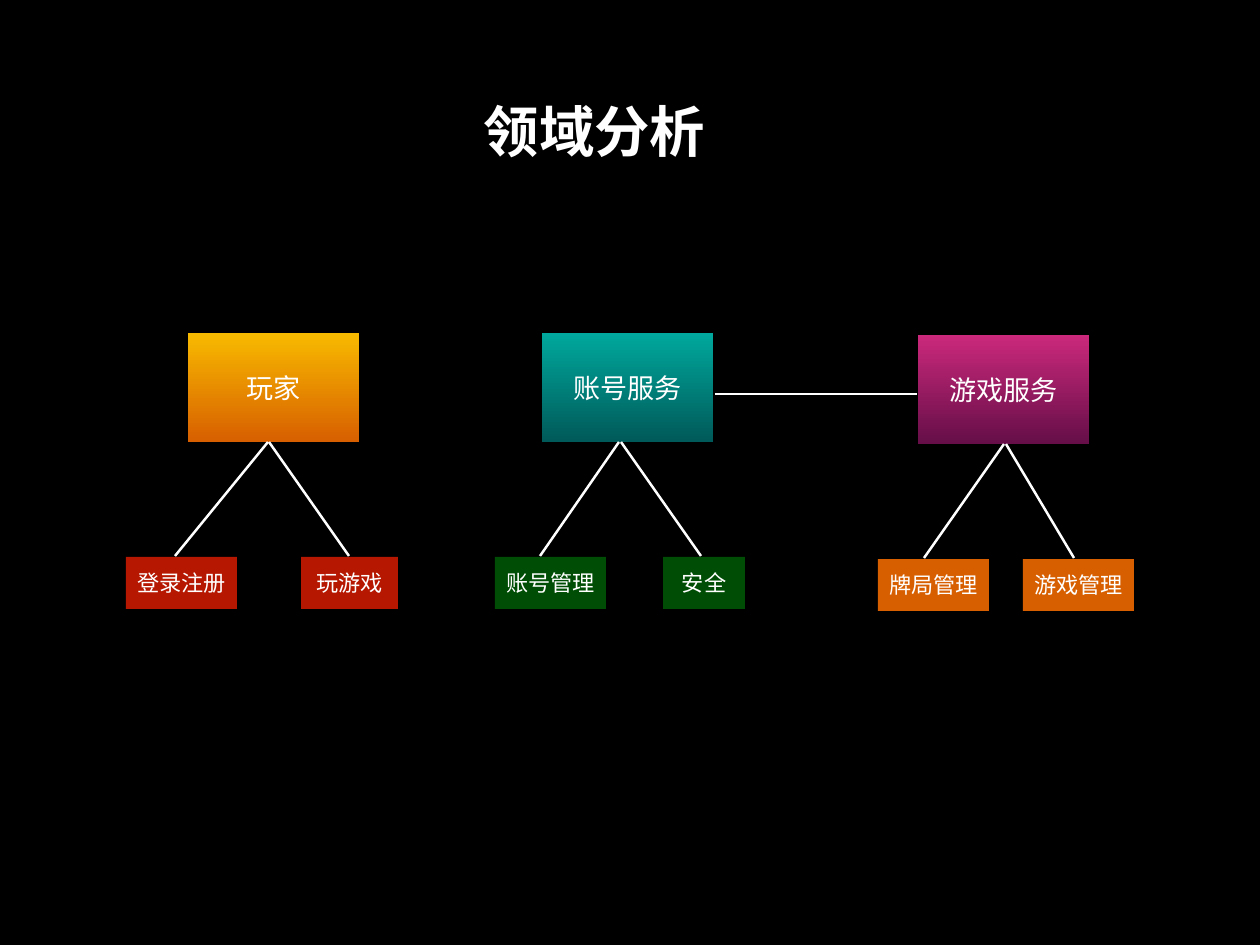
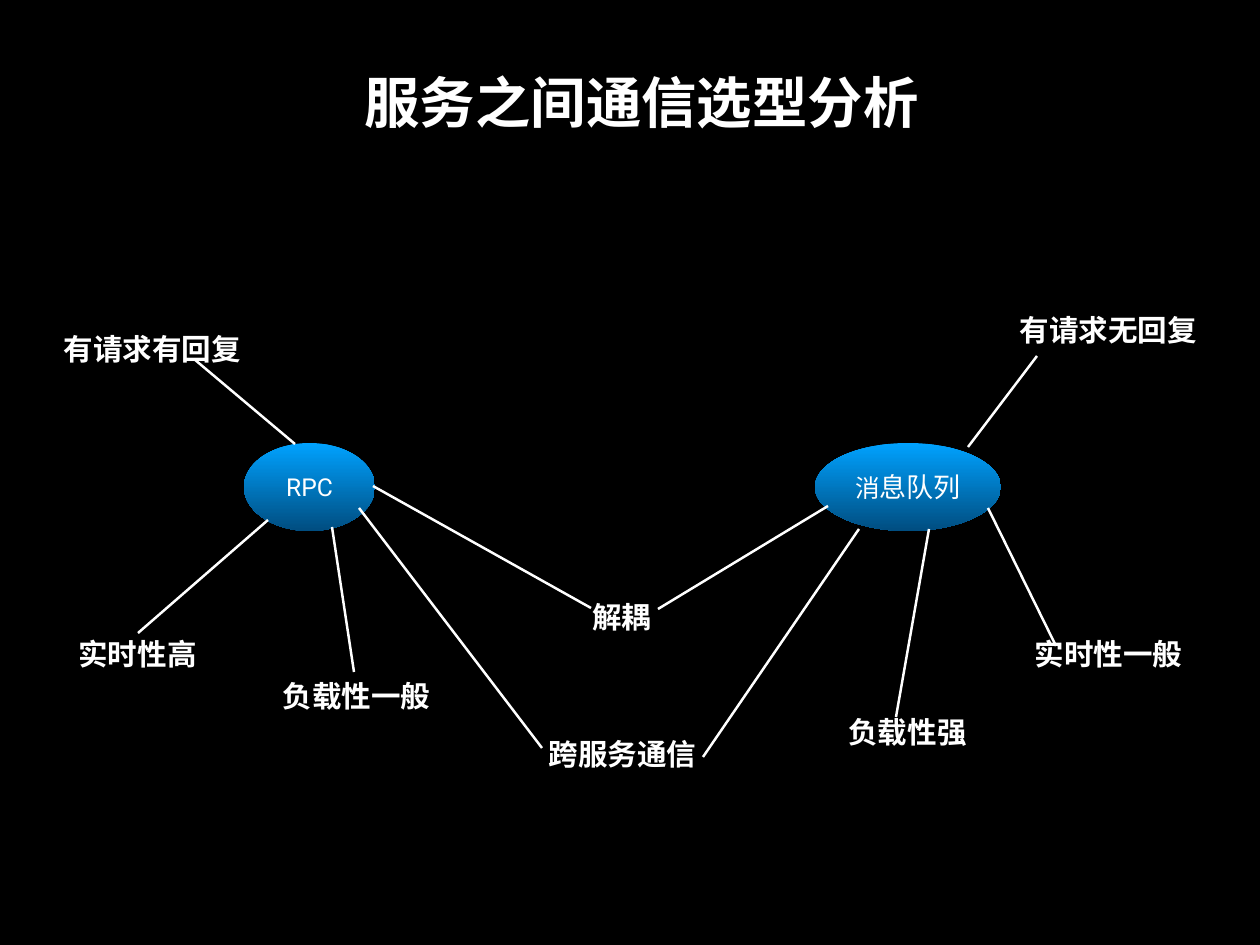
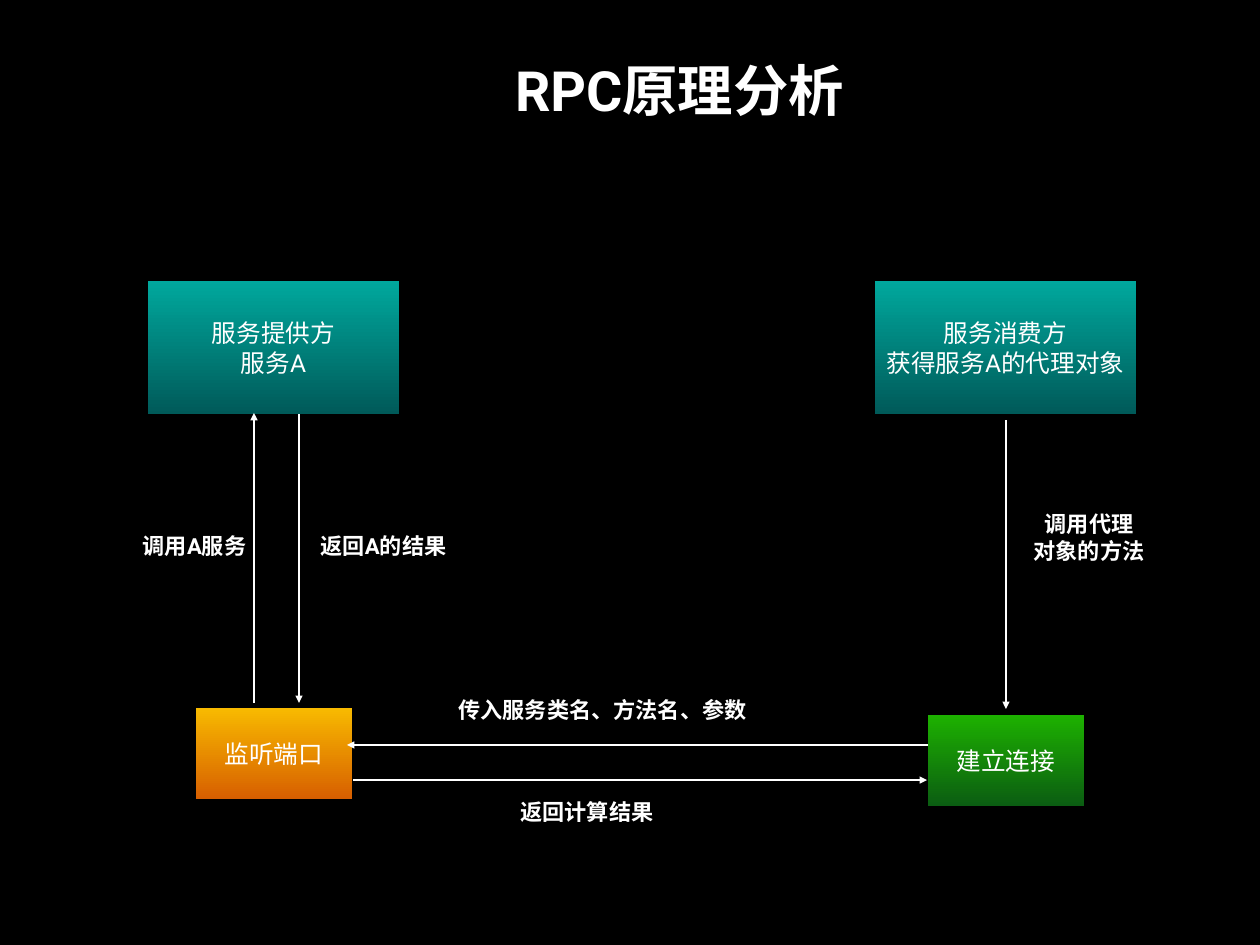
from pptx import Presentation
from pptx.dml.color import RGBColor
from pptx.enum.shapes import MSO_CONNECTOR, MSO_SHAPE
from pptx.enum.text import MSO_ANCHOR, MSO_AUTO_SIZE, PP_ALIGN
from pptx.oxml.ns import qn
from pptx.util import Pt
from lxml.etree import SubElement

PX = 10320  # EMU per pixel
SLIDE_WIDTH, SLIDE_HEIGHT = 1260, 945
INSET = 5
FONT = "Roboto"
TITLE_SIZE = 45
LABEL_HEIGHTS = {45: 88, 24: 51, 18: 41}
EXTRA_LINE = 31

BLACK = RGBColor(0x00, 0x00, 0x00)
WHITE = RGBColor(0xFF, 0xFF, 0xFF)
RED = RGBColor(0xB5, 0x17, 0x00)
DARK_GREEN = RGBColor(0x00, 0x4E, 0x05)
ORANGE = RGBColor(0xD7, 0x5F, 0x00)
AMBER_FADE = (RGBColor(0xF8, 0xBA, 0x00), ORANGE)
TEAL_FADE = (RGBColor(0x00, 0xA8, 0x9D), RGBColor(0x00, 0x5A, 0x59))
PINK_FADE = (RGBColor(0xCB, 0x29, 0x7B), RGBColor(0x65, 0x0E, 0x47))
BLUE_FADE = (RGBColor(0x00, 0xA2, 0xFF), RGBColor(0x00, 0x4D, 0x80))
GREEN_FADE = (RGBColor(0x1D, 0xB1, 0x00), RGBColor(0x0B, 0x5D, 0x12))

# Domain tree: text, left, top, fade, child colour,
# children as (text, left, width, line foot x, line apex x)
DOMAIN_TITLE = ("领域分析", 478, 86, 233)
DOMAINS = [
    ("玩家", 188, 333, AMBER_FADE, RED,
     [("登录注册", 126, 111, 175, 268), ("玩游戏", 301, 97, 349, 269)]),
    ("账号服务", 542, 333, TEAL_FADE, DARK_GREEN,
     [("账号管理", 495, 111, 540, 619), ("安全", 663, 82, 701, 621)]),
    ("游戏服务", 918, 335, PINK_FADE, ORANGE,
     [("牌局管理", 878, 111, 924, 1004), ("游戏管理", 1023, 111, 1074, 1006)]),
]
DOMAIN_WIDTH, DOMAIN_HEIGHT = 171, 109
CHILD_DROP, CHILD_HEIGHT = 224, 52
SERVICE_LINK = (715, 394, 917, 394)

# Labels: text, left, top, width. Lines: x1, y1, x2, y2
CHOICE_TITLE = ("服务之间通信选型分析", 359, 57, 565)
CHOICES = [
    ([("消", 20), ("息队列", 22)], (815, 443, 186, 88)),
    ([("RPC", 20)], (244, 443, 131, 88)),
]
CHOICE_LABELS = [
    ("解耦", 587, 591, 70),
    ("跨服务通信", 543, 728, 159),
    ("实时性高", 73, 628, 129),
    ("负载性一般", 277, 670, 159),
    ("有请求有回复", 58, 323, 189),
    ("负载性强", 843, 706, 129),
    ("实时性一般", 1029, 628, 159),
    ("有请求无回复", 1014, 304, 189),
]
CHOICE_LINES = [
    (138, 633, 268, 520), (295, 444, 194, 359), (332, 527, 354, 672),
    (359, 508, 542, 748), (373, 486, 591, 608), (658, 609, 828, 506),
    (703, 757, 859, 529), (968, 447, 1037, 356), (988, 508, 1056, 646),
    (896, 717, 929, 529),
]

RPC_TITLE = ("RPC原理分析", 504, 45, 351)
RPC_NODES = [
    ("服务提供方\v服务A", (148, 281, 251, 133), TEAL_FADE),
    ("服务消费方\v获得服务A的代理对象", (875, 281, 261, 133), TEAL_FADE),
    ("监听端口", (196, 708, 156, 91), AMBER_FADE),
    ("建立连接", (928, 715, 156, 91), GREEN_FADE),
]
RPC_LABELS = [
    ("返回A的结果", 315, 525, 137),
    ("调用A服务", 137, 525, 115),
    ("调用代理\n对象的方法", 1028, 501, 122),
    ("传入服务类名、方法名、参数", 453, 689, 299),
    ("返回计算结果", 515, 791, 144),
]
RPC_ARROWS = [
    (299, 414, 299, 703), (254, 703, 254, 413), (1006, 420, 1006, 709),
    (928, 745, 347, 745), (353, 780, 927, 780),
]


def scaled(lengths):
    return [length * PX for length in lengths]


def set_format(target, values):
    for name, value in values.items():
        setattr(target, name, value)


def style_run(run, size, bold):
    set_format(run.font, {"name": FONT, "size": Pt(size), "bold": bold})
    run.font.color.rgb = WHITE
    SubElement(run.font._element, qn("a:ea"), typeface=FONT)


def style_frame(frame, size, bold=False):
    """Centre the text of a frame and give all its runs one style."""
    margins = {f"margin_{side}": INSET * PX for side in ("left", "top", "right", "bottom")}
    set_format(frame, {"vertical_anchor": MSO_ANCHOR.MIDDLE, **margins})
    for paragraph in frame.paragraphs:
        paragraph.alignment = PP_ALIGN.CENTER
        for run in paragraph.runs:
            style_run(run, size, bold)


def add_label(slide, size, text, left, top, width):
    """Add a bold text box that grows with its text."""
    height = LABEL_HEIGHTS[size] + EXTRA_LINE * text.count("\n")
    frame = slide.shapes.add_textbox(*scaled((left, top, width, height))).text_frame
    frame.text = text
    style_frame(frame, size, bold=True)
    set_format(frame, {"word_wrap": False, "auto_size": MSO_AUTO_SIZE.SHAPE_TO_FIT_TEXT})


def add_node(slide, text, box, fill, size, preset=MSO_SHAPE.RECTANGLE):
    """Add a shape filled with one colour, or with a top-to-bottom fade."""
    shape = slide.shapes.add_shape(preset, *scaled(box))
    shape.shadow.inherit = False
    shape.line.fill.background()
    if isinstance(fill, RGBColor):
        shape.fill.solid()
        shape.fill.fore_color.rgb = fill
    else:
        shape.fill.gradient()
        shape.fill.gradient_angle = 270
        for stop, color in zip(shape.fill.gradient_stops, fill):
            stop.color.rgb = color
    shape.text_frame.text = text
    style_frame(shape.text_frame, size)
    return shape


def add_line(slide, ends, arrow=False):
    connector = slide.shapes.add_connector(MSO_CONNECTOR.STRAIGHT, *scaled(ends))
    connector.line.width = Pt(2)
    connector.line.color.rgb = WHITE
    properties = connector._element.spPr
    if arrow:
        SubElement(properties.find(qn("a:ln")), qn("a:tailEnd"), type="triangle")
    SubElement(properties, qn("a:effectLst"))


def add_slide(presentation, title):
    slide = presentation.slides.add_slide(presentation.slide_layouts[6])
    add_label(slide, TITLE_SIZE, *title)
    return slide


def build_domains(presentation):
    slide = add_slide(presentation, DOMAIN_TITLE)
    for text, left, top, fade, child_color, children in DOMAINS:
        add_node(slide, text, (left, top, DOMAIN_WIDTH, DOMAIN_HEIGHT), fade, 22)
        child_top = top + CHILD_DROP
        for child, child_left, width, foot, apex in children:
            box = (child_left, child_top, width, CHILD_HEIGHT)
            add_node(slide, child, box, child_color, 18)
            add_line(slide, (foot, child_top - 1, apex, top + DOMAIN_HEIGHT))
    add_line(slide, SERVICE_LINK)


def build_choices(presentation):
    slide = add_slide(presentation, CHOICE_TITLE)
    for runs, box in CHOICES:
        shape = add_node(slide, "", box, BLUE_FADE, 20, MSO_SHAPE.OVAL)
        for text, size in runs:
            run = shape.text_frame.paragraphs[0].add_run()
            run.text = text
            style_run(run, size, bold=False)
    for label in CHOICE_LABELS:
        add_label(slide, 24, *label)
    for ends in CHOICE_LINES:
        add_line(slide, ends)


def build_rpc(presentation):
    slide = add_slide(presentation, RPC_TITLE)
    for text, box, fade in RPC_NODES:
        add_node(slide, text, box, fade, 20)
    for ends in RPC_ARROWS:
        add_line(slide, ends, arrow=True)
    for label in RPC_LABELS:
        add_label(slide, 18, *label)


def main():
    presentation = Presentation()
    presentation.slide_width, presentation.slide_height = scaled((SLIDE_WIDTH, SLIDE_HEIGHT))
    background = presentation.slide_master.background.fill
    background.solid()
    background.fore_color.rgb = BLACK
    for build in (build_domains, build_choices, build_rpc):
        build(presentation)
    presentation.save("out.pptx")


if __name__ == "__main__":
    main()
